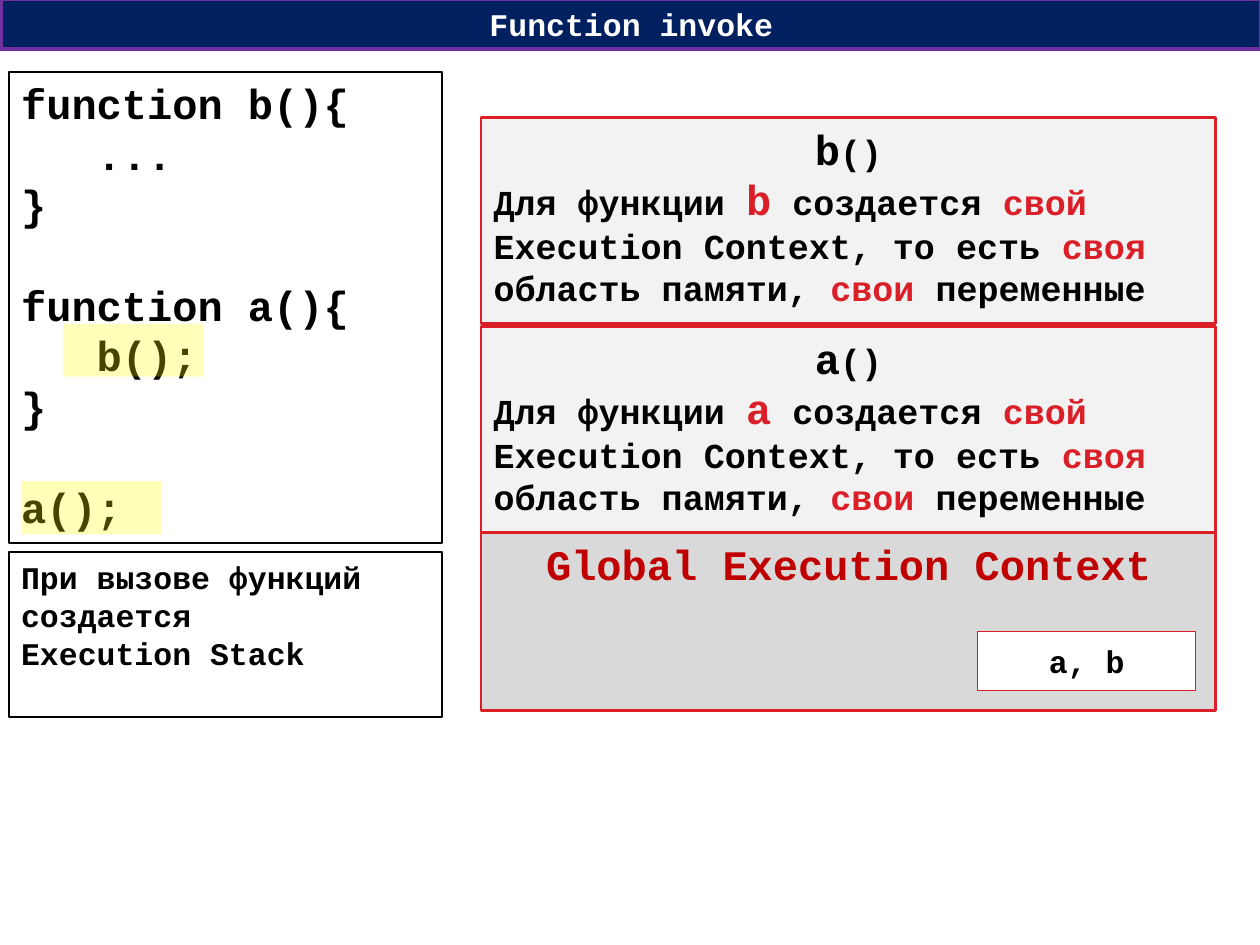
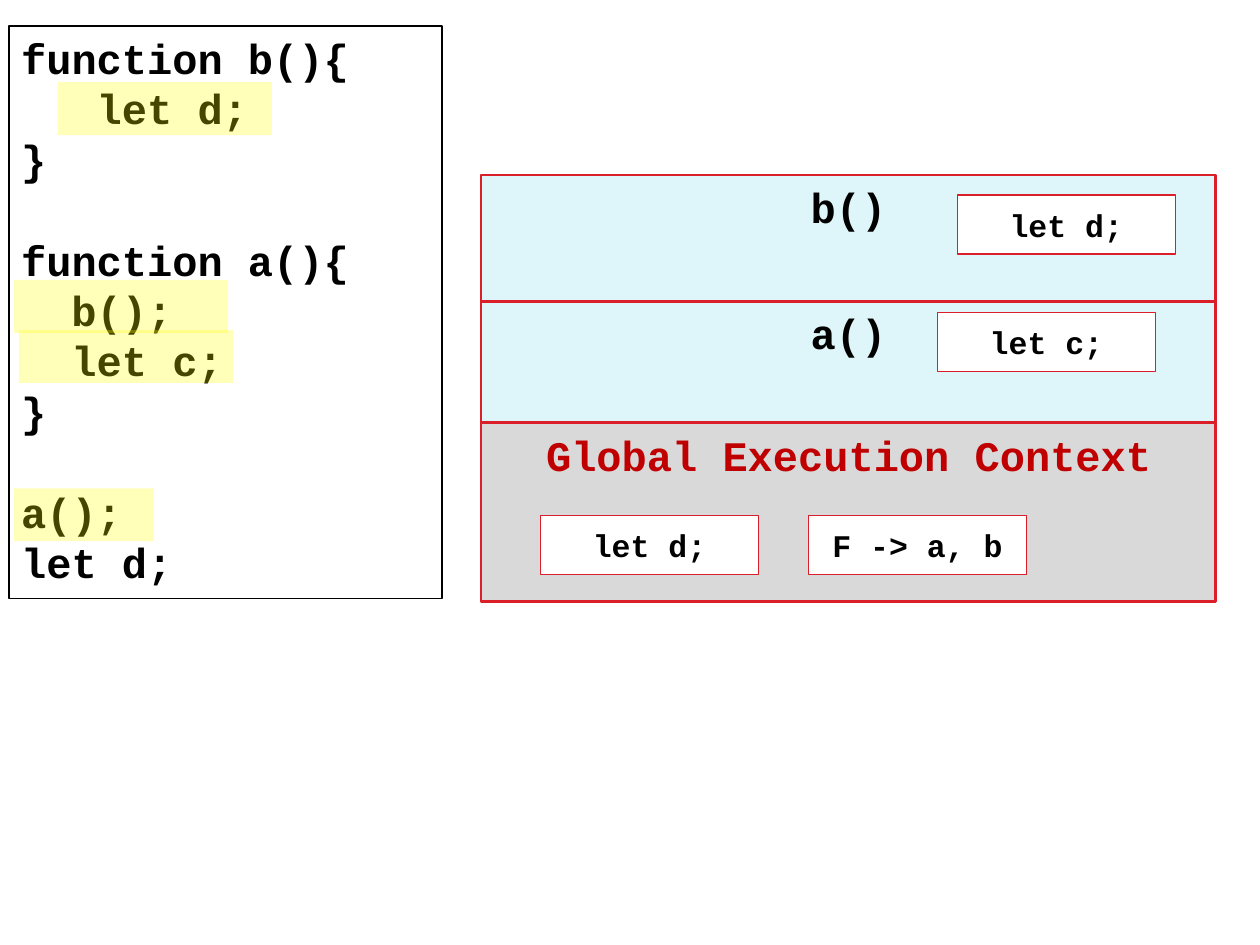
from dataclasses import dataclass

from lxml import etree
from pptx import Presentation
from pptx.dml.color import RGBColor
from pptx.enum.shapes import MSO_SHAPE
from pptx.enum.text import MSO_ANCHOR, MSO_AUTO_SIZE, PP_ALIGN
from pptx.oxml.ns import qn
from pptx.util import Pt

RECT = MSO_SHAPE.RECTANGLE
TOP, MIDDLE = MSO_ANCHOR.TOP, MSO_ANCHOR.MIDDLE
LEFT, CENTER = PP_ALIGN.LEFT, PP_ALIGN.CENTER
FIXED = MSO_AUTO_SIZE.NONE
TITLE_ONLY, BLANK = 5, 6


@dataclass(frozen=True)
class Theme:
    font: str = "Courier New"
    navy: str = "002060"
    purple: str = "7030A0"
    white: str = "FFFFFF"
    black: str = "000000"
    red: str = "DA1F28"
    dark: str = "C00000"
    grey: str = "D9D9D9"
    pale: str = "F2F2F2"
    aqua: str = "DEF5FA"
    yellow: str = "FFFF00"
    big: int = 24
    mid: int = 20
    small: int = 18


T = Theme()

# Shared grid, in points
CODE_X, CODE_W = 5, 247.7
STACK_X, STACK_W = 275, 419.8
GLOBAL_H = 102.2
STORY_H = 118
TAG_W, TAG_H = 124.6, 33.8
MARK_H = 30.2
CHAR = 0.6      # width of one letter, in ems
LINE = 1.2      # height of one line, in ems


def assign(item, values):
    for name, value in values.items():
        setattr(item, name, value)


class Deck:
    def __init__(self):
        self.file = Presentation()
        assign(self.file, {"slide_width": Pt(720), "slide_height": Pt(540)})
        self.slide = None

    def page(self, layout):
        self.slide = self.file.slides.add_slide(self.file.slide_layouts[layout])

    def paint(self, shape, fill, line=None, width=1, alpha=None):
        shape.fill.solid()
        shape.fill.fore_color.rgb = RGBColor.from_string(fill)
        if alpha is not None:
            color = shape.element.spPr.find(".//" + qn("a:srgbClr"))
            etree.SubElement(color, qn("a:alpha")).set("val", str(alpha * 1000))
        if line:
            shape.line.color.rgb = RGBColor.from_string(line)
            shape.line.width = Pt(width)
        else:
            shape.line.fill.background()

    def fill_text(self, shape, lines, align=LEFT, anchor=TOP):
        """Each line is a list of runs: (text, size, color)."""
        frame = shape.text_frame
        assign(frame, {
            "word_wrap": True, "auto_size": FIXED, "vertical_anchor": anchor,
            "margin_left": Pt(7.2), "margin_right": Pt(7.2),
            "margin_top": Pt(3.6), "margin_bottom": Pt(3.6)})
        for i, runs in enumerate(lines):
            par = frame.paragraphs[0] if i == 0 else frame.add_paragraph()
            par.alignment = align
            for text, size, color in runs:
                run = par.add_run()
                run.text = text
                assign(run.font, {"name": T.font, "size": Pt(size), "bold": True})
                run.font.color.rgb = RGBColor.from_string(color)
        return frame.paragraphs

    def box(self, x, y, w, h, fill, line=None, width=1, alpha=None):
        shape = self.slide.shapes.add_shape(RECT, Pt(x), Pt(y), Pt(w), Pt(h))
        shape.shadow.inherit = False
        self.paint(shape, fill, line, width, alpha)
        return shape

    def title(self, text):
        shape = self.slide.shapes.title
        assign(shape, {"left": Pt(0.7), "top": Pt(-0.7),
                       "width": Pt(720), "height": Pt(29)})
        self.paint(shape, T.navy, T.purple, 2.25)
        self.fill_text(shape, [[(text, T.small, T.white)]], CENTER)

    def panel(self, y, h, lines, size):
        """A framed column of text at the left."""
        shape = self.box(CODE_X, y, CODE_W, h, T.white, T.black, 1, 7)
        return self.fill_text(shape, [[(text, size, T.black)] for text in lines])

    def code(self, y, h, blocks):
        """Blocks are parted by one line; a line is (indent, text)."""
        rows = [row for block in blocks for row in block]
        pars = self.panel(y, h, [text for _, text in rows], T.big)
        for par, (indent, _) in zip(pars, rows):
            par._p.get_or_add_pPr().set("marL", str(Pt(indent * CHAR * T.big)))
        start = 0
        for block in blocks[:-1]:
            start += len(block)
            pars[start].space_before = Pt(LINE * T.big)

    def mark(self, x, y, w):
        self.box(x, y, w, MARK_H, T.yellow, alpha=27)

    def layer(self, y, h, fill, lines):
        """One level of the stack, with its centred heading."""
        shape = self.box(STACK_X, y, STACK_W, h, fill, T.red, 1.5)
        pars = self.fill_text(shape, lines)
        pars[0].alignment = CENTER

    def base(self, y):
        self.layer(y, GLOBAL_H, T.grey,
                   [[("Global Execution Context", T.big, T.dark)]])

    def story(self, y, name):
        """A stack level that explains the context of one function."""
        def say(text):
            return text, T.mid, T.black

        def hot(text, size=T.mid):
            return text, size, T.red

        self.layer(y, STORY_H, T.pale, [
            [(name, T.big, T.black), say("()")],
            [say("Для функции "), hot(name, T.big), say(" создается "), hot("свой")],
            [say("Execution Context, то есть "), hot("своя")],
            [say("область памяти, "), hot("свои"), say(" переменные")]])

    def tag(self, x, y, text):
        shape = self.box(x, y, TAG_W, TAG_H, T.white, T.red, 0.75)
        self.fill_text(shape, [[(text, T.small, T.black)]], CENTER, MIDDLE)


deck = Deck()

# Slide 1: each call adds a context to the stack
deck.page(TITLE_ONLY)
deck.title("Function invoke")
deck.code(41, 269.3, [
    [(0, "function b(){"), (3, "..."), (0, "}")],
    [(0, "function a(){"), (3, "b();"), (0, "}")],
    [(0, "a();")]])
deck.base(304)
deck.tag(558.7, 360.7, "a, b")
for y, name in ((186.4, "a"), (67, "b")):
    deck.story(y, name)
deck.panel(315.4, 94.3, ["При вызове функций", "создается", "Execution Stack"],
           T.small)
for x, y in ((12.3, 275), (36, 185)):
    deck.mark(x, y, 80)

# Slide 2: variables inside each context
deck.page(BLANK)
deck.code(15, 327, [
    [(0, "function b(){"), (3, "let d;"), (0, "}")],
    [(0, "function a(){"), (2, "b();"), (2, "let c;"), (0, "}")],
    [(0, "a();"), (0, "let d;")]])
deck.base(241.7)
for y, h, name in ((100, 72.7, "b()"), (172.2, 69.3, "a()")):
    deck.layer(y, h, T.aqua, [[(name, T.big, T.black)]])
for x, y, text in ((547, 111.4, "let d;"), (535.7, 178.7, "let c;"),
                   (308.9, 294.5, "let d;"), (462, 294.5, "F -> a, b")):
    deck.tag(x, y, text)
for x, y, w in ((8, 279, 80), (10.8, 188.6, 122.4),
                (8, 160, 122.4), (33, 47, 122.4)):
    deck.mark(x, y, w)

deck.file.save("out.pptx")
